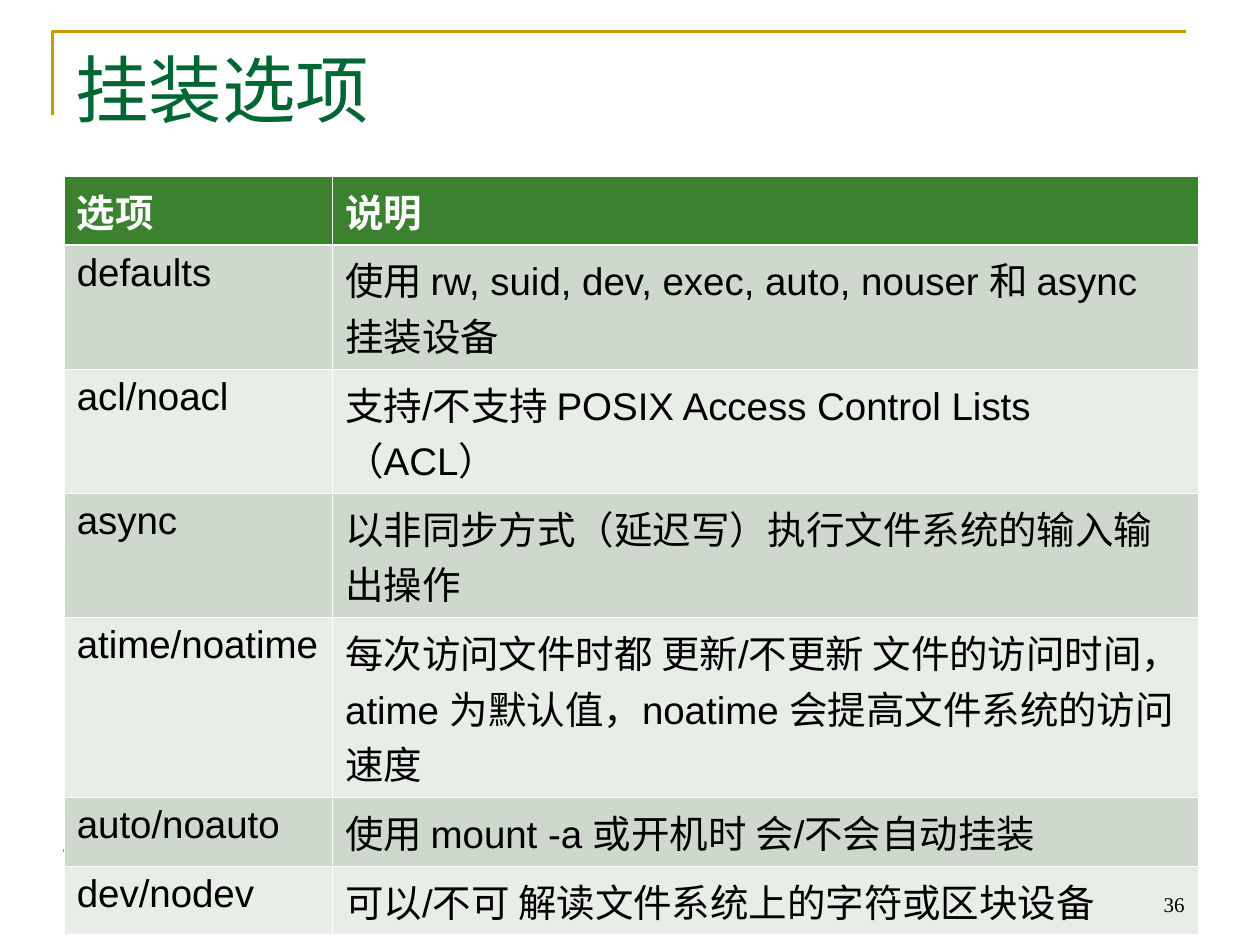
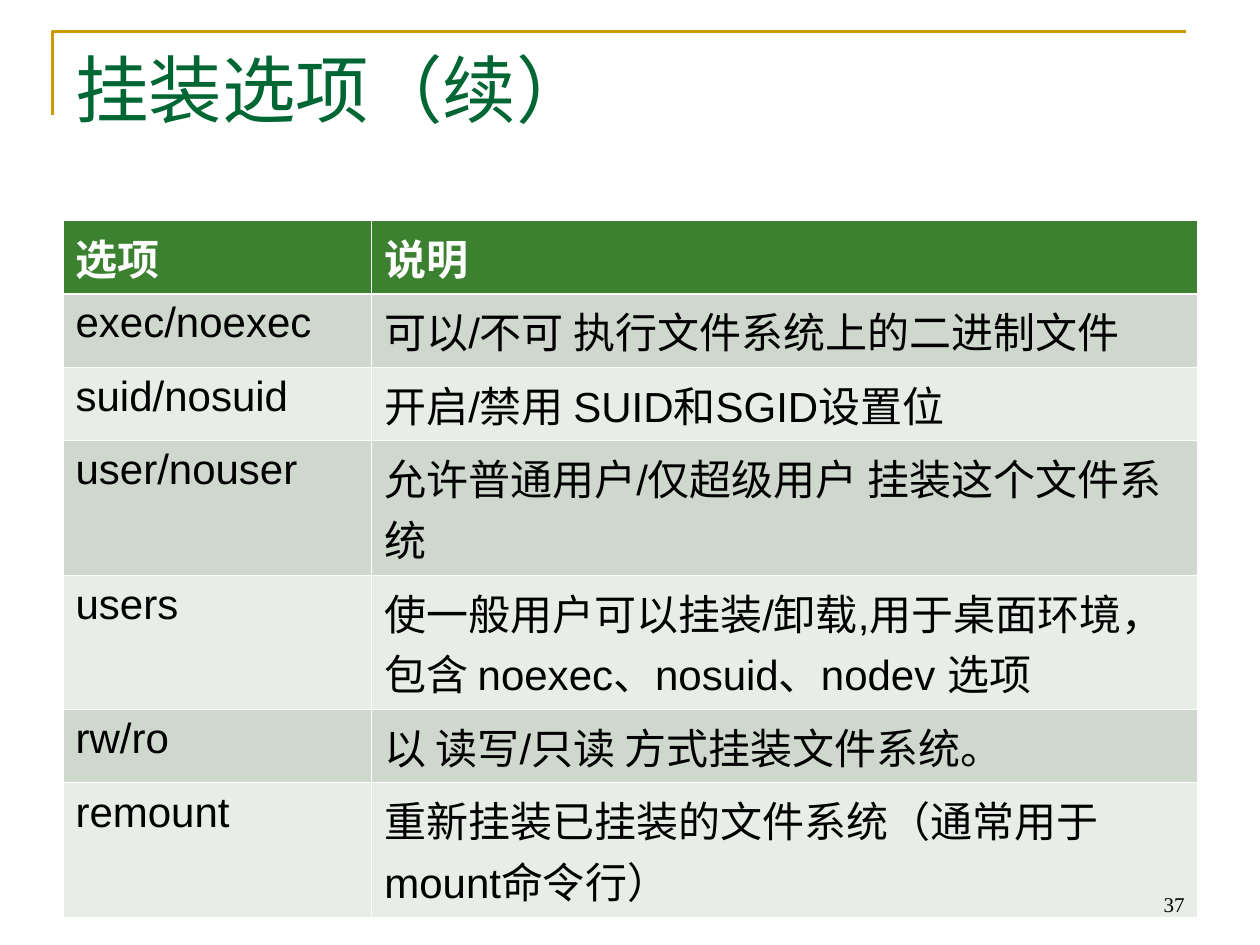
from lxml.etree import SubElement
from pptx import Presentation
from pptx.dml.color import RGBColor
from pptx.enum.shapes import MSO_CONNECTOR as CONN
from pptx.enum.text import MSO_ANCHOR as ANCHOR, PP_ALIGN as ALIGN
from pptx.oxml.ns import qn
from pptx.util import Inches, Pt

GOLD = RGBColor(0xCC, 0x99, 0x00)
TITLE_GREEN = RGBColor(0x00, 0x66, 0x33)
HEAD_GREEN = RGBColor(0x3B, 0x81, 0x2F)
BANDS = RGBColor(0xCE, 0xD8, 0xCD), RGBColor(0xE8, 0xED, 0xE8)
WHITE = RGBColor(0xFF, 0xFF, 0xFF)
BLACK = RGBColor(0x00, 0x00, 0x00)
SANS, SERIF = "Arial", "Times New Roman"

WIDTH, HEIGHT = Inches(10), Inches(7.5)
MARGIN, CONTENT = 0.05, 0.9
THIN, THICK = 0.45, 1.47
LINE_HEIGHT = 1.45

HEADER = ("选项", "说明", 1)
BASIC_OPTIONS = [
    ("defaults", "使用 rw, suid, dev, exec, auto, nouser 和 async 挂装设备", 2),
    ("acl/noacl", "支持/不支持 POSIX Access Control Lists （ACL）", 2),
    ("async", "以非同步方式（延迟写）执行文件系统的输入输出操作", 2),
    ("atime/noatime", "每次访问文件时都 更新/不更新 文件的访问时间，atime 为默认值，"
     "noatime 会提高文件系统的访问速度", 3),
    ("auto/noauto", "使用 mount -a 或开机时 会/不会自动挂装", 1),
    ("dev/nodev", "可以/不可 解读文件系统上的字符或区块设备", 1),
]
MORE_OPTIONS = [
    ("exec/noexec", "可以/不可 执行文件系统上的二进制文件", 1),
    ("suid/nosuid", "开启/禁用 SUID和SGID设置位", 1),
    ("user/nouser", "允许普通用户/仅超级用户 挂装这个文件系统", 2),
    ("users", "使一般用户可以挂装/卸载,用于桌面环境，包含 noexec、nosuid、nodev 选项", 2),
    ("rw/ro", "以 读写/只读 方式挂装文件系统。", 1),
    ("remount", "重新挂装已挂装的文件系统（通常用于mount命令行）", 2),
]


def x(share):
    return round(WIDTH * share)


def y(share):
    return round(HEIGHT * share)


def write(tf, text, size, font=SANS, color=BLACK, bold=False, align=ALIGN.LEFT):
    tf.word_wrap = True
    p = tf.paragraphs[0]
    p.alignment = align
    p._p.get_or_add_pPr().set("hangingPunct", "0")
    r = p.add_run()
    r.text = text
    r.font.name, r.font.size = font, Pt(size)
    r.font.bold, r.font.color.rgb = bold, color


def add_text(s, left, top, width, height, text, size, anchor=ANCHOR.TOP, **style):
    tf = s.shapes.add_textbox(x(left), y(top), x(width), y(height)).text_frame
    tf.vertical_anchor = anchor
    write(tf, text, size, **style)


def add_frame(s):
    left, top = x(1 / 24), y(1 / 30)
    builder = s.shapes.build_freeform(left, y(0.122))
    builder.add_line_segments([(left, top), (left + x(CONTENT), top)], close=False)
    corner = builder.convert_to_shape()
    corner.shadow.inherit = False
    corner.fill.background()
    rule = s.shapes.add_connector(
        CONN.STRAIGHT, x(MARGIN), y(0.9), x(MARGIN + CONTENT), y(0.9))
    SubElement(rule._element.spPr, qn("a:effectLst"))
    for shape in (corner, rule):
        shape.line.color.rgb = GOLD
        shape.line.width = Pt(1.5)


def set_borders(cell, **widths):
    tcPr = cell._tc.get_or_add_tcPr()
    for i, side in enumerate("LRTB"):
        ln = tcPr.makeelement(qn(f"a:ln{side}"), {"w": str(Pt(widths.get(side, THIN)))})
        fill = SubElement(ln, qn("a:solidFill"))
        SubElement(fill, qn("a:srgbClr"), val=str(WHITE))
        tcPr.insert(i, ln)


def add_options(s, options, left, top, name_share, size):
    rows = [HEADER, *options]
    heights = [Inches(0.1) + Pt(lines * size * LINE_HEIGHT) for *_, lines in rows]
    table = s.shapes.add_table(
        len(rows), 2, x(left), y(top), x(CONTENT), sum(heights)).table
    table.columns[0].width = x(name_share)
    table.columns[1].width = x(CONTENT - name_share)
    for i, (name, meaning, _) in enumerate(rows):
        table.rows[i].height = heights[i]
        is_head = i == 0
        for cell, text in zip(table.rows[i].cells, (name, meaning)):
            cell.fill.solid()
            cell.fill.fore_color.rgb = HEAD_GREEN if is_head else BANDS[(i - 1) % 2]
            set_borders(cell, T=THICK if i == 1 else THIN, B=THICK if is_head else THIN)
            write(cell.text_frame, text, size, bold=is_head,
                  color=WHITE if is_head else BLACK)


def add_slide(prs, title, number, options, **layout):
    s = prs.slides.add_slide(prs.slide_layouts[6])
    add_frame(s)
    add_text(s, MARGIN, 0.04, CONTENT, 1 / 6, title, 42,
             font=SERIF, color=TITLE_GREEN)
    add_options(s, options, **layout)
    add_text(s, 0.717, 0.91, 0.233, 1 / 15, str(number), 12,
             anchor=ANCHOR.BOTTOM, font=SERIF, align=ALIGN.RIGHT)


def main():
    prs = Presentation()
    prs.slide_width, prs.slide_height = WIDTH, HEIGHT
    add_slide(prs, "挂装选项", 36, BASIC_OPTIONS,
              left=0.051, top=0.187, name_share=0.213, size=22)
    add_slide(prs, "挂装选项（续）", 37, MORE_OPTIONS,
              left=MARGIN, top=0.233, name_share=0.245, size=24)
    prs.save("out.pptx")


if __name__ == "__main__":
    main()
